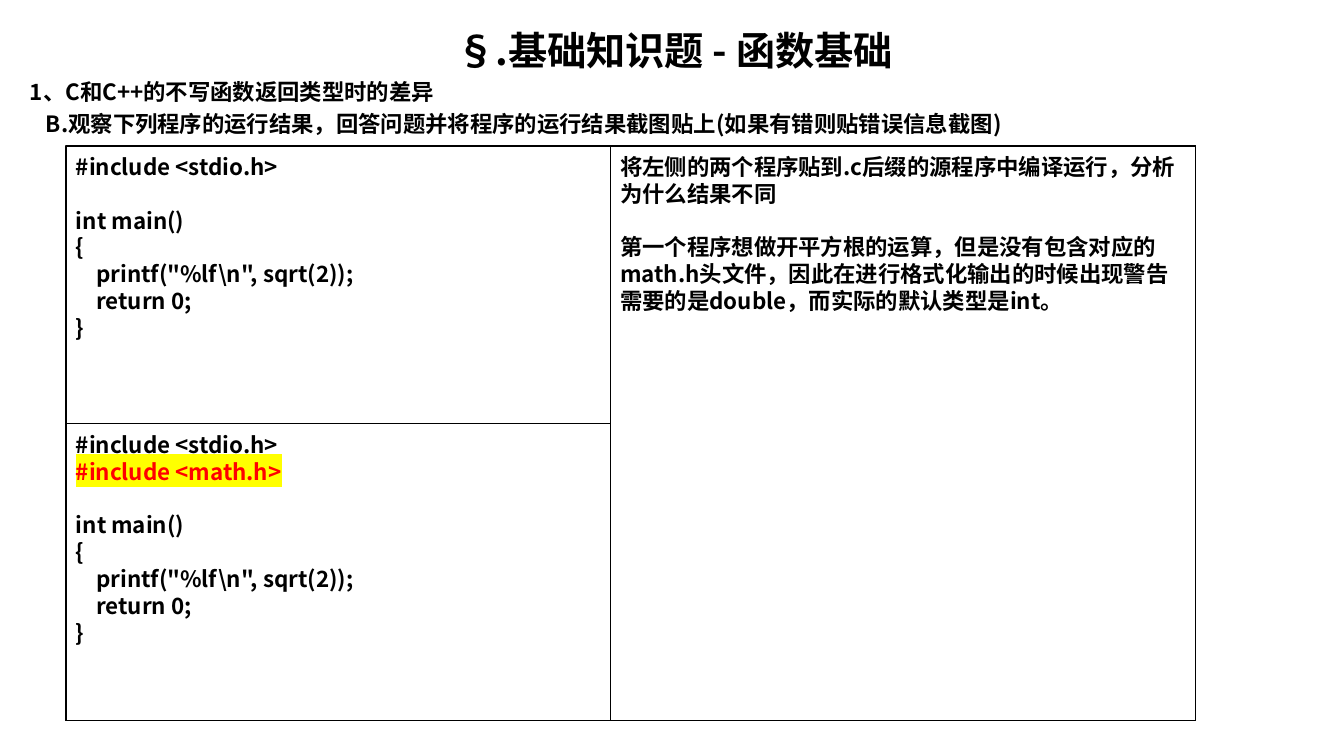
from lxml import etree
from pptx import Presentation
from pptx.dml.color import RGBColor
from pptx.enum.shapes import MSO_SHAPE
from pptx.enum.text import MSO_ANCHOR, PP_ALIGN
from pptx.oxml.ns import qn
from pptx.util import Emu, Inches, Pt

RECT = MSO_SHAPE.RECTANGLE
TOP = MSO_ANCHOR.TOP
LEFT, CENTER = PP_ALIGN.LEFT, PP_ALIGN.CENTER

FONT = "Noto Sans CJK SC"
COLORS = {"ink": "000000", "new": "FF0000", "mark": "FFFF00"}
PX = 914400 / 100.8
BODY = 16
LEADING = 1.2


def px(n):
    return Emu(round(n * PX))


def add_line(p, text, size=BODY, color="ink", highlight=None, before=0, align=LEFT):
    """Fill one paragraph with a single bold run."""
    layout = {"alignment": align, "line_spacing": Pt(size * LEADING), "space_before": Pt(before)}
    for name, value in layout.items():
        setattr(p, name, value)
    r = p.add_run()
    r.text = text
    for name, value in {"size": Pt(size), "bold": True, "name": FONT}.items():
        setattr(r.font, name, value)
    r.font.color.rgb = RGBColor.from_string(COLORS[color])
    latin = r.font._element.find(qn("a:latin"))
    if highlight:
        mark = etree.Element(qn("a:highlight"))
        etree.SubElement(mark, qn("a:srgbClr"), val=COLORS[highlight])
        latin.addprevious(mark)
    ea = etree.Element(qn("a:ea"), typeface=FONT)
    latin.addnext(ea)


prs = Presentation()
prs.slide_width, prs.slide_height = Inches(13.33), Inches(7.5)
s = prs.slides.add_slide(prs.slide_layouts[6])

# Heading
tf = s.shapes.add_textbox(px(20), px(18), px(1309), px(120)).text_frame
tf.word_wrap = True
tf.margin_top = px(8)
add_line(tf.paragraphs[0], "§.基础知识题 - 函数基础", size=28, align=CENTER)
add_line(tf.add_paragraph(), "1、C和C++的不写函数返回类型时的差异", before=3.5)
p = tf.add_paragraph()
add_line(p, "B.观察下列程序的运行结果，回答问题并将程序的运行结果截图贴上(如果有错则贴错误信息截图)", before=3.5)
p._p.get_or_add_pPr().set("marL", str(px(16)))

# Panels: an empty entry opens a one-line gap before the next paragraph
INCLUDE = "#include <stdio.h>"
MATH = "#include <math.h>"
MAIN = ["int main()", "{", '    printf("%lf\\n", sqrt(2));', "    return 0;", "}"]
ANSWER = [
    "将左侧的两个程序贴到.c后缀的源程序中编译运行，分析为什么结果不同",
    "",
    "第一个程序想做开平方根的运算，但是没有包含对应的math.h头文件，"
    "因此在进行格式化输出的时候出现警告需要的是double，而实际的默认类型是int。",
]
panels = [
    ((66, 146, 1129, 575), [INCLUDE, "", *MAIN]),
    ((610, 146, 585, 575), ANSWER),
    ((66, 424, 544, 297), [INCLUDE, MATH, "", *MAIN]),
]
for box, lines in panels:
    sp = s.shapes.add_shape(RECT, *map(px, box))
    sp.shadow.inherit = False
    sp.fill.background()
    sp.line.color.rgb = RGBColor.from_string(COLORS["ink"])
    sp.line.width = Pt(0.75)
    tf = sp.text_frame
    for name, value in {"word_wrap": True, "vertical_anchor": TOP, "margin_top": px(7)}.items():
        setattr(tf, name, value)
    before = 0
    for i, line in enumerate(lines):
        if not line:
            before = BODY * LEADING
            continue
        p = tf.add_paragraph() if i else tf.paragraphs[0]
        marks = {"color": "new", "highlight": "mark"} if line == MATH else {}
        add_line(p, line, before=before, **marks)
        before = 0

prs.save("out.pptx")
